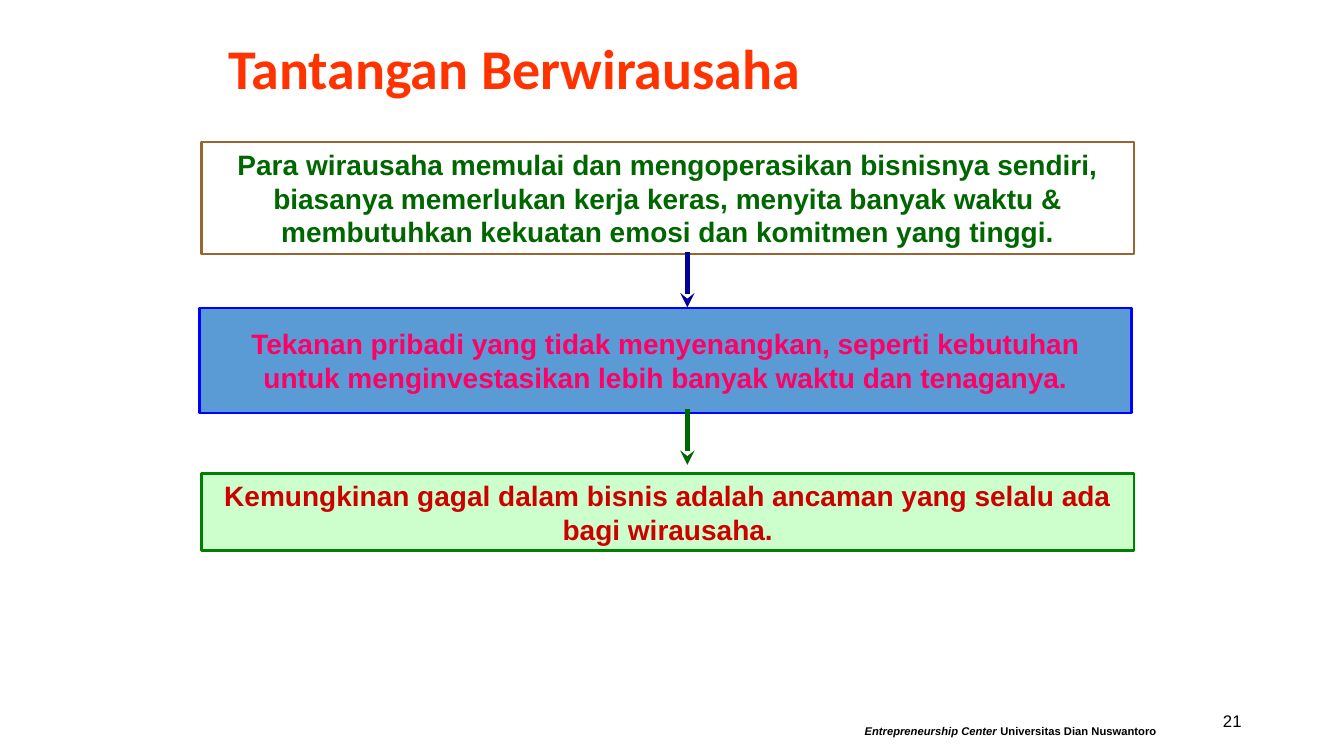
from lxml import etree
from pptx import Presentation
from pptx.dml.color import RGBColor
from pptx.enum import shapes, text
from pptx.oxml import ns
from pptx.util import Pt

HUES = {
    "title": "FF3300", "black": "000000", "white": "FFFFFF",
    "brown": "996633", "forest": "006600", "sky": "5B9BD5",
    "blue": "0000FF", "pink": "FF0066", "mint": "CCFFCC",
    "green": "008000", "red": "CC0000", "navy": "000099",
}
LEFT, WIDE = 144, 666
MID = 491


def hue(name):
    return RGBColor.from_string(HUES[name])


def style(run, size, color, face="Arial", bold=True, slant=False):
    font = run.font
    font.name, font.size = face, Pt(size)
    font.bold, font.italic = bold, slant
    font.color.rgb = hue(color)


def label(slide, words, place, size, color, align, face="Arial", bold=True):
    box = slide.shapes.add_textbox(*map(Pt, place))
    frame = box.text_frame
    frame.word_wrap = True
    frame.vertical_anchor = text.MSO_ANCHOR.MIDDLE
    frame.text = words
    para = frame.paragraphs[0]
    para.alignment = align
    style(para.runs[0], size, color, face, bold)
    return para


def panel(slide, place, fill=None, edge=None):
    """Add a plain rectangle and return its text frame."""
    box = slide.shapes.add_shape(shapes.MSO_SHAPE.RECTANGLE, *map(Pt, place))
    box.shadow.inherit = False
    if fill:
        box.fill.solid()
        box.fill.fore_color.rgb = hue(fill)
    else:
        box.fill.background()
    if edge:
        box.line.color.rgb = hue(edge)
        box.line.width = Pt(2)
    else:
        box.line.fill.background()
    box.text_frame.word_wrap = True
    return box.text_frame


def step(slide, words, left, top, high, color, edge, fill=None):
    frame = panel(slide, (left, top, WIDE, high), fill, edge)
    frame.vertical_anchor = text.MSO_ANCHOR.MIDDLE
    frame.text = words
    para = frame.paragraphs[0]
    para.alignment = text.PP_ALIGN.CENTER
    style(para.runs[0], 20, color)


def arrow(slide, top, color):
    line = slide.shapes.add_connector(
        shapes.MSO_CONNECTOR.STRAIGHT, Pt(MID), Pt(top), Pt(MID), Pt(top + 39.6))
    line.line.color.rgb = hue(color)
    line.line.width = Pt(3.5)
    etree.SubElement(line.line._get_or_add_ln(), ns.qn("a:tailEnd"), type="stealth")
    etree.SubElement(line._element.spPr, ns.qn("a:effectLst"))


def footer(slide):
    frame = panel(slide, (610.5, 514, 229.5, 26), "white")
    frame.vertical_anchor = text.MSO_ANCHOR.TOP
    para = frame.paragraphs[0]
    para.alignment = text.PP_ALIGN.LEFT
    for words, slant in (("Entrepreneurship Center ", True),
                         ("Universitas Dian Nuswantoro", False)):
        run = para.add_run()
        run.text = words
        style(run, 8, "black", slant=slant)


def main():
    deck = Presentation()
    deck.slide_width, deck.slide_height = Pt(960), Pt(540)
    slide = deck.slides.add_slide(deck.slide_layouts[6])

    label(slide, "21", (678, 500.5, 216, 28.8), 12, "black",
          text.PP_ALIGN.RIGHT, bold=False)
    title = label(slide, "Tantangan Berwirausaha", (156, 18, 648, 66), 40,
                  "title", text.PP_ALIGN.LEFT, "Calibri")
    title.line_spacing = 0.9

    step(slide, "Para wirausaha memulai dan mengoperasikan bisnisnya sendiri, "
         "biasanya memerlukan kerja keras, menyita banyak waktu & "
         "membutuhkan kekuatan emosi dan komitmen yang tinggi.",
         LEFT, 101.5, 80, "forest", "brown")
    step(slide, "Tekanan pribadi yang tidak menyenangkan, seperti kebutuhan "
         "untuk menginvestasikan lebih banyak waktu dan tenaganya.",
         LEFT - 1.5, 220, 75, "pink", "blue", "sky")
    step(slide, "Kemungkinan gagal dalam bisnis adalah ancaman yang selalu ada "
         "bagi wirausaha.", LEFT, 338, 55.5, "red", "green", "mint")

    footer(slide)
    arrow(slide, 180, "navy")
    arrow(slide, 292.5, "forest")
    deck.save("out.pptx")


if __name__ == "__main__":
    main()
